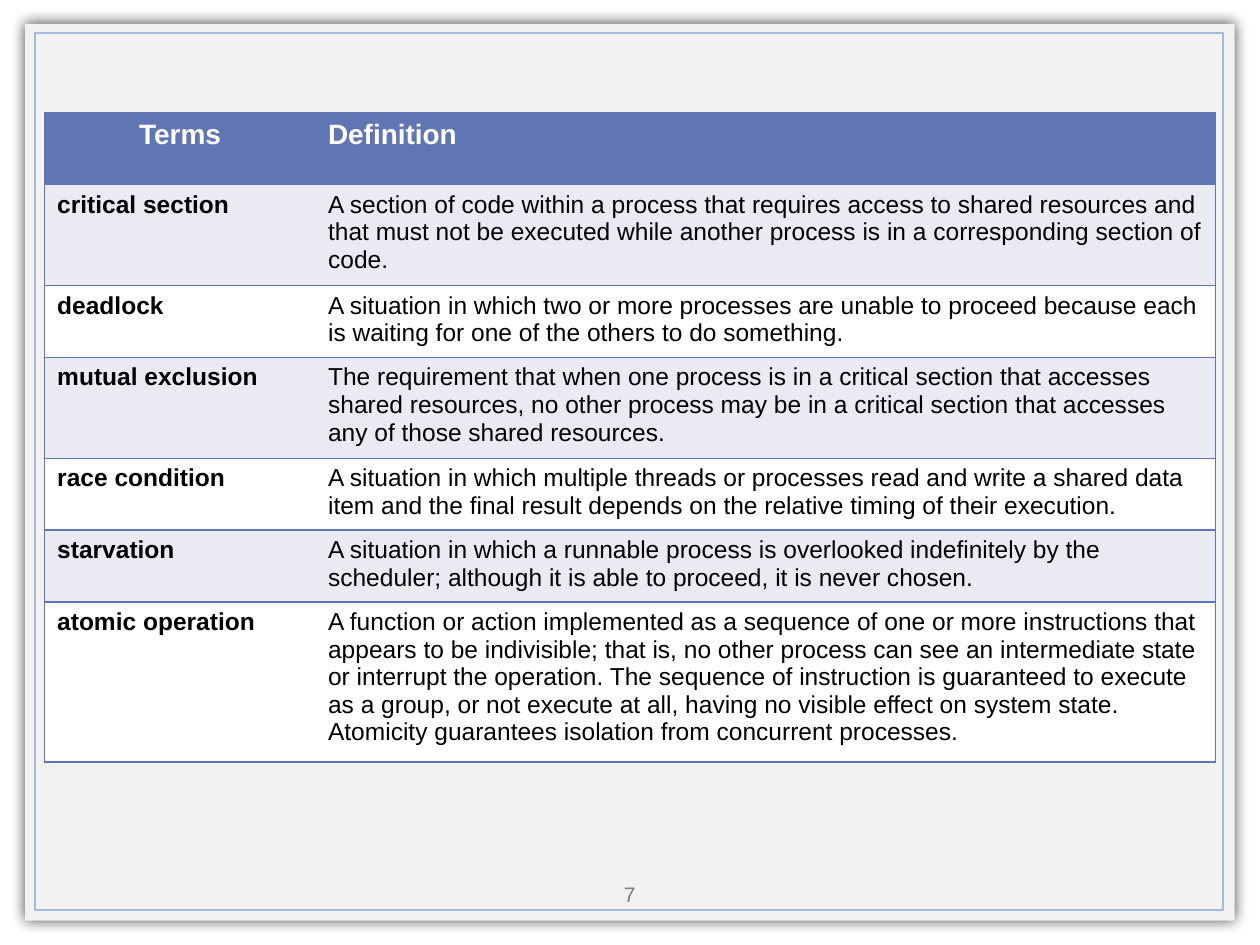
"""Build a slide with a framed table of concurrency terms and definitions."""

from dataclasses import dataclass
from typing import NamedTuple

from lxml.etree import SubElement
from pptx import Presentation
from pptx.dml.color import RGBColor as RGB
from pptx.enum.shapes import MSO_SHAPE as Shape
from pptx.enum.text import MSO_ANCHOR as Anchor, PP_ALIGN as Align
from pptx.oxml import parse_xml
from pptx.oxml.ns import nsdecls, qn
from pptx.util import Cm, Pt


@dataclass(frozen=True)
class Theme:
    font: str = "Arial"
    panel: str = "F2F2F2"
    frame: str = "A0BAE1"
    accent: str = "6076B4"
    band: str = "EAEAF2"
    white: str = "FFFFFF"
    ink: str = "000000"
    muted: str = "7F7F7F"
    header_pt: int = 16
    body_pt: int = 14
    number_pt: int = 12
    line_pt: int = 1


class Box(NamedTuple):
    left: float
    top: float
    width: float
    height: float

    def lengths(self) -> list[Cm]:
        return [Cm(v) for v in self]


class Entry(NamedTuple):
    term: str
    definition: str


THEME = Theme()
PANEL = Box(0.51, 0.48, 24.38, 18.08)
FRAME = Box(0.71, 0.66, 23.95, 17.68)
TABLE = Box(0.9, 2.27, 23.6, 10.15)
NUMBER = Box(11.64, 17.65, 2.11, 0.76)
COLUMNS = (5.46, 18.14)
NO_STYLE = "{2D5ABB26-0587-4C30-8999-92F81FD0307C}"

HEADER = Entry("Terms", "Definition")
ENTRIES = [
    Entry("critical section",
          "A section of code within a process that requires access to shared resources "
          "and that must not be executed while another process is in a corresponding "
          "section of code."),
    Entry("deadlock",
          "A situation in which two or more processes are unable to proceed because each "
          "is waiting for one of the others to do something."),
    Entry("mutual exclusion",
          "The requirement that when one process is in a critical section that accesses "
          "shared resources, no other process may be in a critical section that accesses "
          "any of those shared resources."),
    Entry("race condition",
          "A situation in which multiple threads or processes read and write a shared "
          "data item and the final result depends on the relative timing of their "
          "execution."),
    Entry("starvation",
          "A situation in which a runnable process is overlooked indefinitely by the "
          "scheduler; although it is able to proceed, it is never chosen."),
    Entry("atomic operation",
          "A function or action implemented as a sequence of one or more instructions "
          "that appears to be indivisible; that is, no other process can see an "
          "intermediate state or interrupt the operation. The sequence of instruction is "
          "guaranteed to execute as a group, or not execute at all, having no visible "
          "effect on system state. Atomicity guarantees isolation from concurrent "
          "processes."),
]


def write(tf, text: str, *, size: int, color: str, bold: bool = False,
          align: Align = Align.LEFT) -> None:
    """Put one formatted paragraph into a text frame."""
    p = tf.paragraphs[0]
    p.alignment = align
    r = p.add_run()
    r.text = text
    r.font.name = THEME.font
    r.font.size = Pt(size)
    r.font.bold = bold
    r.font.color.rgb = RGB.from_string(color)
    SubElement(p._p, qn("a:endParaRPr"), sz=str(size * 100))


def add_rect(s, box: Box, *, fill: str | None = None, line: str | None = None):
    """Add a flat rectangle with an optional fill and outline."""
    sp = s.shapes.add_shape(Shape.RECTANGLE, *box.lengths())
    sp.shadow.inherit = False
    if fill:
        sp.fill.solid()
        sp.fill.fore_color.rgb = RGB.from_string(fill)
    else:
        sp.fill.background()
    if line:
        sp.line.color.rgb = RGB.from_string(line)
        sp.line.width = Pt(THEME.line_pt)
    else:
        sp.line.fill.background()
    return sp


def add_glow_shadow(sp, blur_pt: float, opacity: int) -> None:
    """Give a shape an even shadow on all sides."""
    effects = sp.element.spPr.find(qn("a:effectLst"))
    shadow = SubElement(effects, qn("a:outerShdw"), blurRad=str(Pt(blur_pt)),
                        dist="0", dir="0", algn="ctr", rotWithShape="0")
    color = SubElement(shadow, qn("a:srgbClr"), val=THEME.ink)
    SubElement(color, qn("a:alpha"), val=str(opacity * 1000))


def add_borders(cell, sides: str) -> None:
    """Draw the accent border on the given sides of a cell."""
    tc_pr = cell._tc.get_or_add_tcPr()
    for side in sides:
        tc_pr.append(parse_xml(
            f'<a:ln{side} {nsdecls("a")} w="{Pt(THEME.line_pt)}"><a:solidFill>'
            f'<a:srgbClr val="{THEME.accent}"/></a:solidFill></a:ln{side}>'))


def fill_row(cells, entry: Entry, *, fill: str, color: str, size: int,
             header: bool = False) -> None:
    """Fill a table row with a term and its definition."""
    term_align = Align.CENTER if header else Align.LEFT
    formats = (("LTB", True, term_align), ("RTB", header, Align.LEFT))
    for cell, text, (sides, bold, align) in zip(cells, entry, formats):
        add_borders(cell, sides)
        cell.fill.solid()
        cell.fill.fore_color.rgb = RGB.from_string(fill)
        write(cell.text_frame, text, size=size, color=color, bold=bold, align=align)


def add_terms_table(s, box: Box) -> None:
    """Add the banded table of terms."""
    frame = s.shapes.add_table(len(ENTRIES) + 1, len(COLUMNS), *box.lengths())
    for style in frame.element.iter(qn("a:tableStyleId")):
        style.text = NO_STYLE
    table = frame.table
    for column, width in zip(table.columns, COLUMNS):
        column.width = Cm(width)
    header, *body = table.rows
    fill_row(header.cells, HEADER, fill=THEME.accent, color=THEME.white,
             size=THEME.header_pt, header=True)
    for i, (row, entry) in enumerate(zip(body, ENTRIES)):
        fill_row(row.cells, entry, fill=THEME.white if i % 2 else THEME.band,
                 color=THEME.ink, size=THEME.body_pt)


def add_slide_number(s, box: Box, number: str) -> None:
    """Add the centred slide number."""
    tf = s.shapes.add_textbox(*box.lengths()).text_frame
    tf.word_wrap = True
    tf.vertical_anchor = Anchor.MIDDLE
    write(tf, number, size=THEME.number_pt, color=THEME.muted, align=Align.CENTER)


def main() -> None:
    """Build and save the slide."""
    prs = Presentation()
    prs.slide_width, prs.slide_height = Cm(25.4), Cm(19.05)
    s = prs.slides.add_slide(prs.slide_layouts[6])
    add_glow_shadow(add_rect(s, PANEL, fill=THEME.panel), blur_pt=8, opacity=70)
    add_rect(s, FRAME, line=THEME.frame)
    add_slide_number(s, NUMBER, "7")
    add_terms_table(s, TABLE)
    prs.save("out.pptx")


if __name__ == "__main__":
    main()
